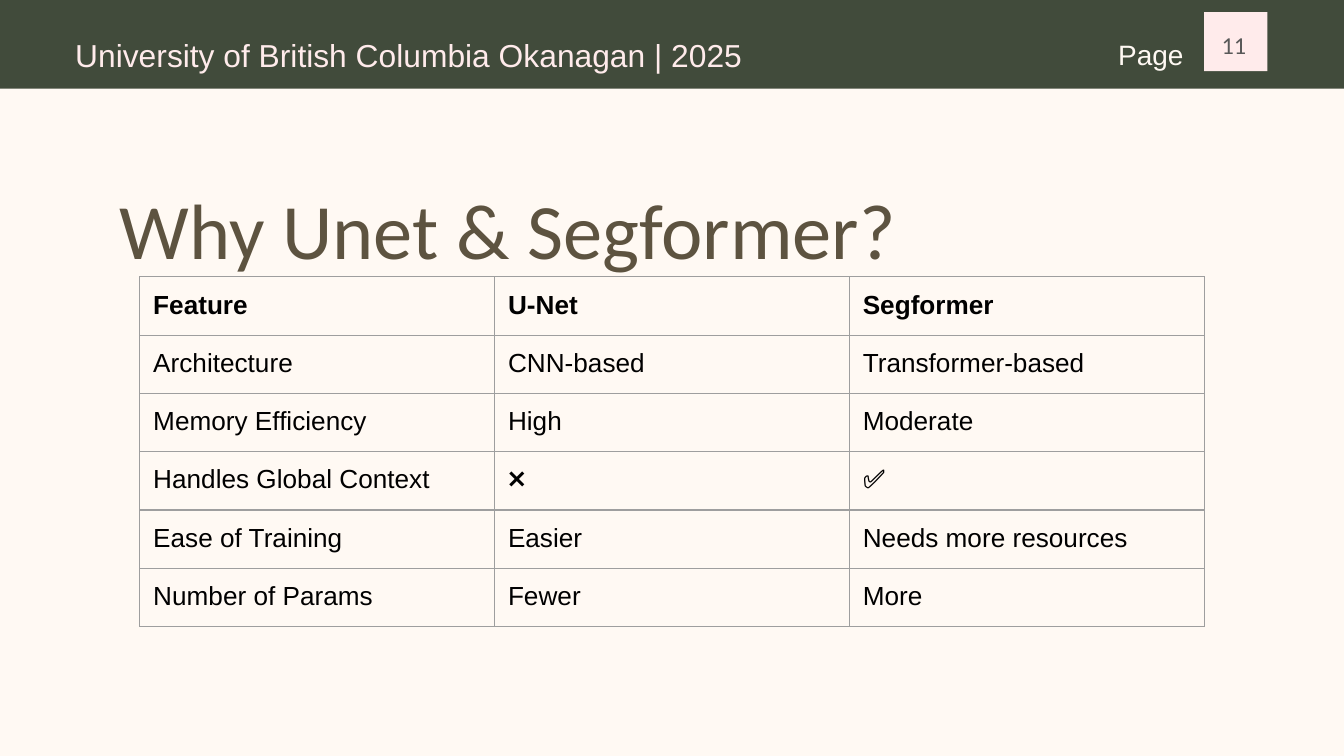
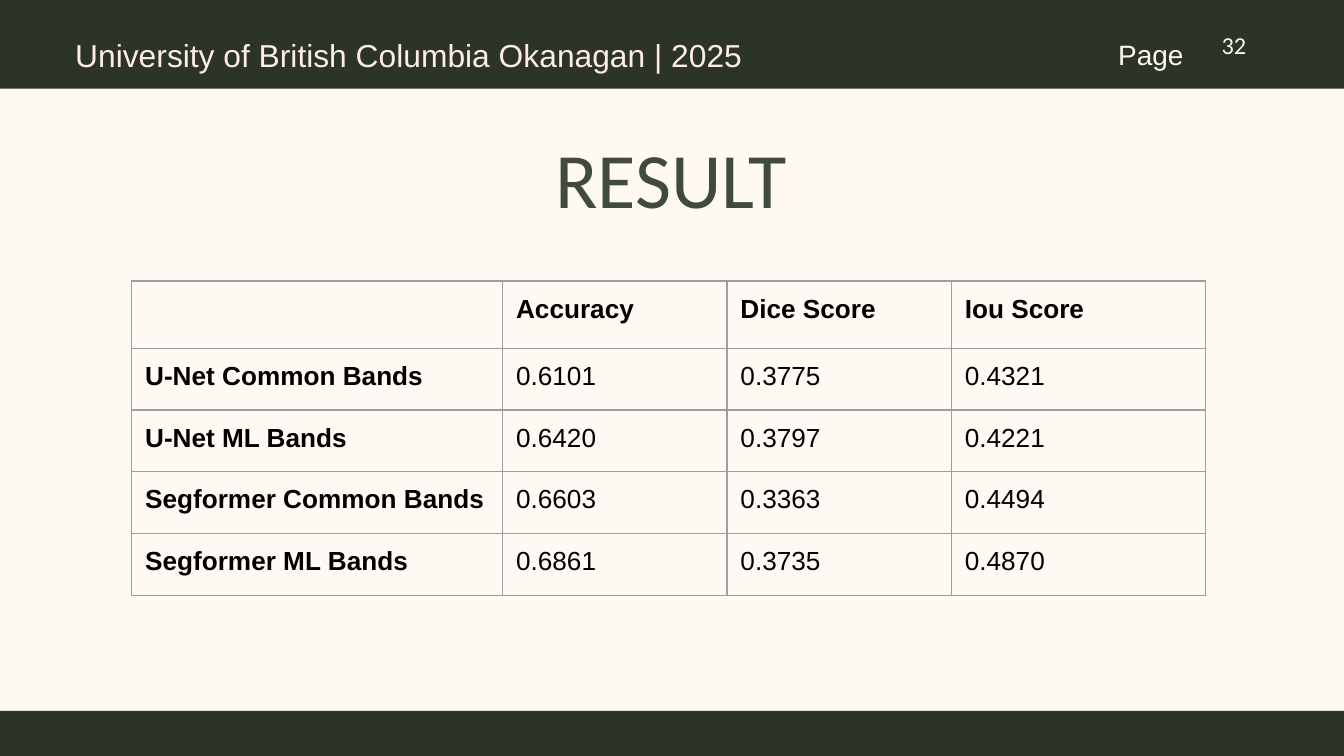
"""Build the model comparison and result slides."""
import pptx
import pptx.dml.color
import pptx.enum.shapes
import pptx.enum.text
import pptx.util
from lxml import etree
from pptx.oxml.ns import qn
from pptx.util import Inches

CREAM = "FFF9F3"
PINK = "FFEBEB"
BROWN = "5D5340"
GREEN = "414B3B"
DARK_GREEN = "2B3425"
GREY = "595959"
BLACK = "000000"
BORDER = "9E9E9E"
ALIGN = pptx.enum.text.PP_ALIGN


def color(value):
    return pptx.dml.color.RGBColor.from_string(value)


def write(frame, text, size=14, font="Arial", ink=BLACK, bold=False,
          align=ALIGN.LEFT, spacing=None, inset=0.1, grow=False, middle=False):
    frame.margin_left = frame.margin_right = Inches(inset)
    frame.margin_top = frame.margin_bottom = Inches(inset)
    frame.word_wrap = True
    if grow:
        frame.auto_size = pptx.enum.text.MSO_AUTO_SIZE.SHAPE_TO_FIT_TEXT
    if middle:
        frame.vertical_anchor = pptx.enum.text.MSO_ANCHOR.MIDDLE
    para = frame.paragraphs[0]
    para.alignment = align
    para.line_spacing = spacing
    span = para.add_run()
    span.text = text
    span.font.size = pptx.util.Pt(size)
    span.font.name = font
    span.font.bold = bold
    span.font.color.rgb = color(ink)


pages = [
    {
        "number": "11", "number_ink": GREY, "band": GREEN,
        "blocks": [(-0.12, -0.04, 10.26, 0.7, GREEN), (8.96, 0.09, 0.47, 0.44, PINK)],
        "title": "Why Unet & Segformer?", "title_ink": BROWN,
        "title_place": (0.89, 1.07, 8.92, 0.71), "title_align": ALIGN.LEFT,
        "table_place": (1.04, 2.06), "columns": [2.64] * 3, "row": 0.43,
        "bold_labels": False,
        "rows": [
            ("Feature", "U-Net", "Segformer"),
            ("Architecture", "CNN-based", "Transformer-based"),
            ("Memory Efficiency", "High", "Moderate"),
            ("Handles Global Context", "❌", "✅"),
            ("Ease of Training", "Easier", "Needs more resources"),
            ("Number of Params", "Fewer", "More"),
        ],
    },
    {
        "number": "32", "number_ink": CREAM,
        "blocks": [(-0.12, -0.04, 10.26, 0.7, DARK_GREEN),
                   (-0.12, 5.29, 10.26, 0.7, DARK_GREEN)],
        "title": "RESULT", "title_ink": GREEN,
        "title_place": (3.73, 0.69, 2.53, 0.71), "title_align": ALIGN.CENTER,
        "table_place": (0.98, 2.09), "columns": [2.76, 1.67, 1.67, 1.89], "row": 0.46,
        "bold_labels": True,
        "rows": [
            ("", "Accuracy", "Dice Score", "Iou Score"),
            ("U-Net Common Bands", "0.6101", "0.3775", "0.4321"),
            ("U-Net ML Bands", "0.6420", "0.3797", "0.4221"),
            ("Segformer Common Bands", "0.6603", "0.3363", "0.4494"),
            ("Segformer ML Bands", "0.6861", "0.3735", "0.4870"),
        ],
    },
]

deck = pptx.Presentation()
deck.slide_width = Inches(10)
deck.slide_height = Inches(5.625)

for content in pages:
    page = deck.slides.add_slide(deck.slide_layouts[6])
    page.background.fill.solid()
    page.background.fill.fore_color.rgb = color(CREAM)

    for *place, fill in content["blocks"]:
        block = page.shapes.add_shape(
            pptx.enum.shapes.MSO_SHAPE.RECTANGLE, *map(Inches, place))
        block.shadow.inherit = False
        block.fill.solid()
        block.fill.fore_color.rgb = color(fill)
        block.line.fill.background()

    heading = {"spacing": 1.4, "inset": 0, "grow": True}
    texts = [
        (content["title_place"], content["title"],
         {"size": 42, "font": "Calibri", "ink": content["title_ink"],
          "align": content["title_align"], **heading}),
        ((8.32, 0.18, 0.64, 0.25), "Page", {"size": 15, "ink": CREAM, **heading}),
        ((0.56, 0.15, 5.97, 0.29), "University of British Columbia Okanagan | 2025",
         {"size": 17, "ink": PINK, **heading}),
        ((8.77, 0.12, 0.6, 0.43), content["number"],
         {"size": 13, "font": "Calibri", "ink": content["number_ink"],
          "align": ALIGN.RIGHT, "middle": True}),
    ]
    for place, text, style in texts:
        box = page.shapes.add_textbox(*map(Inches, place))
        write(box.text_frame, text, **style)

    rows, columns = content["rows"], content["columns"]
    left, top = content["table_place"]
    table = page.shapes.add_table(
        len(rows), len(columns), Inches(left), Inches(top),
        Inches(sum(columns)), Inches(content["row"] * len(rows))).table
    table.first_row = table.horz_banding = False
    for column, width in zip(table.columns, columns):
        column.width = Inches(width)
    for row_index, values in enumerate(rows):
        table.rows[row_index].height = Inches(content["row"])
        for column_index, value in enumerate(values):
            cell = table.cell(row_index, column_index)
            label = content["bold_labels"] and column_index == 0
            write(cell.text_frame, value, bold=row_index == 0 or label)
            cell.margin_left = cell.margin_right = Inches(0.1)
            cell.margin_top = cell.margin_bottom = Inches(0.1)
            properties = cell._tc.get_or_add_tcPr()
            for side in ("a:lnL", "a:lnR", "a:lnT", "a:lnB"):
                line = etree.SubElement(properties, qn(side), w=str(pptx.util.Pt(0.75)))
                solid = etree.SubElement(line, qn("a:solidFill"))
                etree.SubElement(solid, qn("a:srgbClr"), val=BORDER)
            cell.fill.background()

deck.save("out.pptx")
